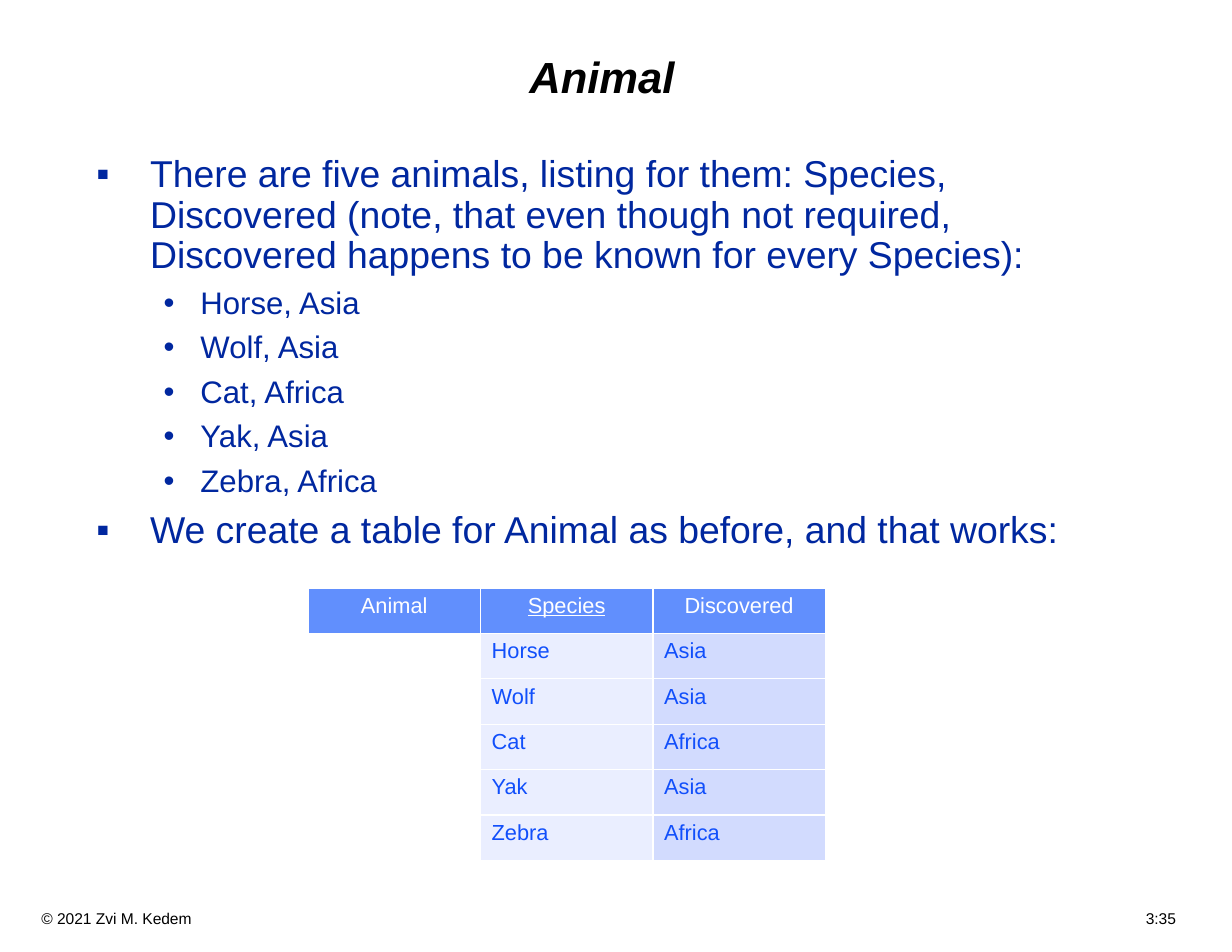
from lxml import etree
from pptx import Presentation
from pptx.dml.color import RGBColor
from pptx.enum.text import MSO_ANCHOR, MSO_AUTO_SIZE, PP_ALIGN
from pptx.oxml.ns import qn
from pptx.util import Inches, Pt

CENTER, LEFT = PP_ALIGN.CENTER, PP_ALIGN.LEFT
MIDDLE, TOP = MSO_ANCHOR.MIDDLE, MSO_ANCHOR.TOP
NO_FIT = MSO_AUTO_SIZE.NONE

FONT = "Arial"
BLACK = RGBColor(0x00, 0x00, 0x00)
WHITE = RGBColor(0xFF, 0xFF, 0xFF)
NAVY = RGBColor(0x00, 0x27, 0x9F)
BLUE = RGBColor(0x11, 0x4F, 0xFB)
HEADER_FILL = RGBColor(0x61, 0x8F, 0xFD)
COLUMN_FILLS = [WHITE, RGBColor(0xEA, 0xEE, 0xFF), RGBColor(0xD2, 0xDB, 0xFE)]

TITLE = "Animal"
INTRO = ("There are five animals, listing for them: Species, Discovered "
         "(note, that even though not required, Discovered happens to be "
         "known for every Species):")
CLOSING = "We create a table for Animal as before, and that works:"
HEADERS = ["Animal", "Species", "Discovered"]
KEY = "Species"
ANIMALS = [("Horse", "Asia"), ("Wolf", "Asia"), ("Cat", "Africa"),
           ("Yak", "Asia"), ("Zebra", "Africa")]
COPYRIGHT = "© 2021 Zvi M. Kedem"
PAGE_NUMBER = "3:35"

LEVELS = [
    {"size": 24, "before": 8, "margin": 0.48, "hang": 0.48, "bullet": "▪"},
    {"size": 20, "before": 7, "margin": 0.93, "hang": 0.33, "bullet": "•"},
]


def add_span(para, text, size, color):
    span = para.add_run()
    span.text = text
    span.font.name = FONT
    span.font.size = Pt(size)
    span.font.color.rgb = color
    return span


def place(box, left, top, width, height, anchor):
    box.left, box.top = Inches(left), Inches(top)
    box.width, box.height = Inches(width), Inches(height)
    frame = box.text_frame
    frame.word_wrap = True
    frame.auto_size = NO_FIT
    frame.vertical_anchor = anchor
    frame.margin_left = frame.margin_right = Inches(0.11)
    frame.margin_top = frame.margin_bottom = Inches(0.06)
    return frame


def add_child(parent, tag, **attributes):
    return etree.SubElement(parent, qn(tag), attributes)


def add_bullet(para, level):
    style = LEVELS[level]
    para.level = level
    properties = para._p.get_or_add_pPr()
    properties.set("marL", str(Inches(style["margin"])))
    properties.set("indent", str(-Inches(style["hang"])))
    color = add_child(properties, "a:buClr")
    add_child(color, "a:srgbClr", val=str(NAVY))
    add_child(properties, "a:buFont", typeface=FONT)
    add_child(properties, "a:buChar", char=style["bullet"])


def add_borders(cell):
    properties = cell._tc.get_or_add_tcPr()
    for index, side in enumerate(("a:lnL", "a:lnR", "a:lnT", "a:lnB")):
        line = etree.Element(qn(side), w=str(Pt(1)))
        fill = add_child(line, "a:solidFill")
        add_child(fill, "a:srgbClr", val=str(WHITE))
        properties.insert(index, line)


def add_title(slide):
    frame = place(slide.shapes.title, 0.75, 0.25, 9.25, 0.92, MIDDLE)
    para = frame.paragraphs[0]
    para.alignment = CENTER
    para.line_spacing = 0.9
    span = add_span(para, TITLE, 28, BLACK)
    span.font.bold = span.font.italic = True


def add_body(slide):
    frame = place(slide.placeholders[1], 0.75, 1.33, 9.33, 6.67, TOP)
    listing = [(1, ", ".join(animal)) for animal in ANIMALS]
    for index, (level, text) in enumerate([(0, INTRO), *listing, (0, CLOSING)]):
        para = frame.add_paragraph() if index else frame.paragraphs[0]
        para.line_spacing = 0.9
        para.space_before = Pt(LEVELS[level]["before"] if index else 0)
        add_bullet(para, level)
        add_span(para, text, LEVELS[level]["size"], NAVY)


def add_animal_table(slide):
    rows = [HEADERS] + [("", *animal) for animal in ANIMALS]
    table = slide.shapes.add_table(
        len(rows), len(HEADERS), Inches(2.75), Inches(5.25),
        Inches(4.62), Inches(2.43)).table
    for row_index, row in enumerate(rows):
        is_header = row_index == 0
        for column, text in enumerate(row):
            cell = table.cell(row_index, column)
            cell.fill.solid()
            cell.fill.fore_color.rgb = HEADER_FILL if is_header else COLUMN_FILLS[column]
            add_borders(cell)
            if text:
                para = cell.text_frame.paragraphs[0]
                para.alignment = CENTER if is_header else LEFT
                span = add_span(para, text, 14, WHITE if is_header else BLUE)
                span.font.bold = False
                span.font.underline = is_header and text == KEY


def add_footer(slide):
    box = slide.shapes.add_textbox(0, 0, 0, 0)
    frame = place(box, 0.26, 8.06, 10.48, 0.27, TOP)
    para = frame.paragraphs[0]
    tabs = add_child(para._p.get_or_add_pPr(), "a:tabLst")
    add_child(tabs, "a:tab", pos=str(Inches(10.13)), algn="r")
    add_span(para, f"{COPYRIGHT}\t{PAGE_NUMBER}", 10, BLACK)


def main():
    deck = Presentation()
    deck.slide_width, deck.slide_height = Inches(11), Inches(8.5)
    slide = deck.slides.add_slide(deck.slide_layouts[1])
    add_footer(slide)
    add_title(slide)
    add_body(slide)
    add_animal_table(slide)
    deck.save("out.pptx")


if __name__ == "__main__":
    main()
